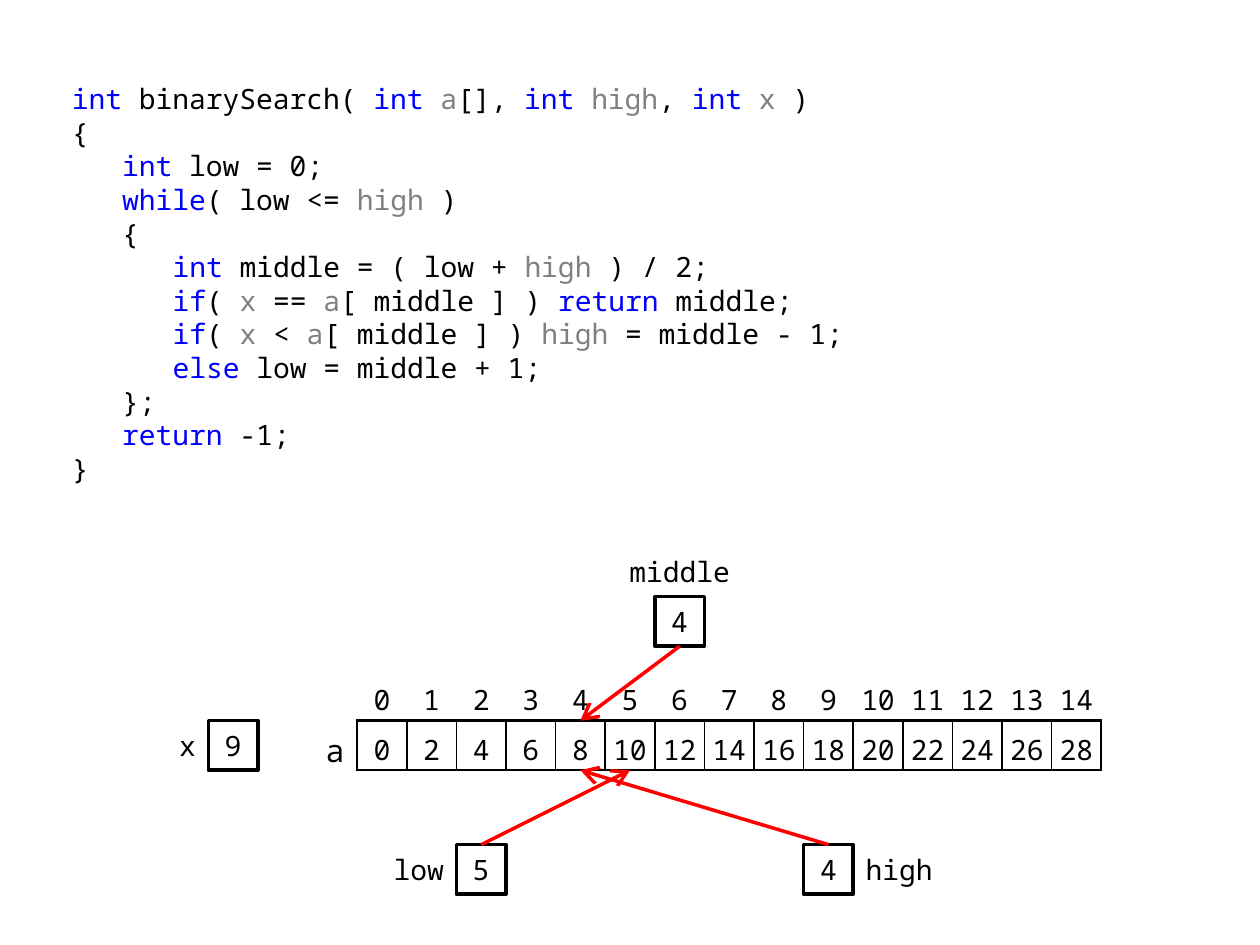
from itertools import groupby

from lxml.etree import SubElement
from pptx import Presentation
from pptx.dml.color import RGBColor
from pptx.enum.shapes import MSO_CONNECTOR, MSO_SHAPE
from pptx.enum.text import MSO_ANCHOR, PP_ALIGN
from pptx.oxml.ns import qn
from pptx.util import Pt

COLORS = {"text": "000000", "keyword": "0000FF", "parameter": "808080",
          "box": "FFFFFF", "arrow": "FF0000"}
FONT = "Noto Sans Mono"
KEYWORDS = {"int", "while", "if", "else", "return"}
PARAMETERS = {"a", "high", "x"}
NO_GRID_STYLE = "{2D5ABB26-0587-4C30-8999-92F81FD0307C}"

# Everything below the code sits on a grid of square cells
CELL = 28.35
ARRAY_LEFT, ARRAY_TOP = 175.75, 411.8
VALUES = range(0, 30, 2)

# Indent level and text of each line
CODE = [
    (0, "int binarySearch( int a[], int high, int x )"),
    (0, "{"),
    (1, "int low = 0;"),
    (1, "while( low <= high )"),
    (1, "{"),
    (2, "int middle = ( low + high ) / 2;"),
    (2, "if( x == a[ middle ] ) return middle;"),
    (2, "if( x < a[ middle ] ) high = middle - 1;"),
    (2, "else low = middle + 1;"),
    (1, "};"),
    (1, "return -1;"),
    (0, "}"),
]

# Text, column, row, width in cells, alignment
LABELS = [
    ("x", -3, 0, 1, PP_ALIGN.RIGHT),
    ("middle", 6, -3.5, 3, PP_ALIGN.CENTER),
    ("low", 1, 2.5, 2, PP_ALIGN.RIGHT),
    ("high", 11, 2.5, 2, PP_ALIGN.LEFT),
]


def rgb(name):
    return RGBColor.from_string(COLORS[name])


def grid(column, row):
    """Position of a grid point, counted from the corner of the array label."""
    return Pt(ARRAY_LEFT + column * CELL), Pt(ARRAY_TOP + row * CELL)


def style_font(font, size=16, color="text"):
    font.name, font.size = FONT, Pt(size)
    font.color.rgb = rgb(color)


def write(frame, text, align, size=16):
    para = frame.paragraphs[0]
    para.text, para.alignment = text, align
    style_font(para.font, size)
    return para


def word_color(word):
    if word in KEYWORDS:
        return "keyword"
    return "parameter" if word in PARAMETERS else "text"


def add_code(page):
    frame = page.shapes.add_textbox(Pt(34), Pt(43.2), Pt(468), Pt(241.2)).text_frame
    frame.word_wrap = True
    for index, (level, line) in enumerate(CODE):
        para = frame.add_paragraph() if index else frame.paragraphs[0]
        para.line_spacing = Pt(19.2)
        para.font.name, para.font.size = FONT, Pt(16)
        # One level is three characters wide
        para._p.get_or_add_pPr().set("marL", str(Pt(28.8 * level)))
        words = ["".join(part) for _, part in groupby(line, str.isalnum)]
        for color, part in groupby(words, word_color):
            span = para.add_run()
            span.text = "".join(part)
            span.font.color.rgb = rgb(color)


def add_border(cell, side, width):
    line = SubElement(cell._tc.get_or_add_tcPr(), qn(f"a:ln{side}"), w=str(Pt(width)))
    fill = SubElement(line, qn("a:solidFill"))
    SubElement(fill, qn("a:srgbClr"), val=COLORS["text"])


def fill_cell(cell, text, borders, align=PP_ALIGN.CENTER, size=16, side_margin=0):
    for side, width in borders.items():
        add_border(cell, side, width)
    cell.fill.background()
    cell.margin_left = cell.margin_right = Pt(side_margin)
    cell.margin_top = cell.margin_bottom = 0
    write(cell.text_frame, text, align, size).line_spacing = 1.2


def add_array(page):
    count = len(VALUES)
    table = page.shapes.add_table(2, count + 1, *grid(0, -1),
                                  Pt(CELL * (count + 1)), Pt(CELL * 2)).table
    table.first_row = table.horz_banding = False
    table._tbl.tblPr.find(qn("a:tableStyleId")).text = NO_GRID_STYLE
    for strip in table.columns:
        strip.width = Pt(CELL)
    fill_cell(table.cell(0, 0), "", {})
    fill_cell(table.cell(1, 0), "a", {"R": 1.5}, PP_ALIGN.RIGHT, 18, 7.2)
    for index, value in enumerate(VALUES):
        borders = {"L": 1 if index else 1.5, "R": 1 if index < count - 1 else 1.5,
                   "T": 1.5, "B": 1.5}
        header, body = table.cell(0, index + 1), table.cell(1, index + 1)
        fill_cell(header, str(index), {"B": 1.5})
        fill_cell(body, str(value), borders)
        header.vertical_anchor = body.vertical_anchor = MSO_ANCHOR.MIDDLE


def add_box(page, text, column, row):
    box = page.shapes.add_shape(MSO_SHAPE.RECTANGLE, *grid(column, row), Pt(CELL), Pt(CELL))
    box.shadow.inherit = False
    box.fill.solid()
    box.fill.fore_color.rgb = rgb("box")
    box.line.color.rgb, box.line.width = rgb("text"), Pt(2)
    frame = box.text_frame
    frame.margin_left = frame.margin_right = frame.margin_top = frame.margin_bottom = 0
    frame.vertical_anchor = MSO_ANCHOR.MIDDLE
    write(frame, text, PP_ALIGN.CENTER)
    return box


def add_label(page, text, column, row, width, align):
    frame = page.shapes.add_textbox(*grid(column, row), Pt(width * CELL), Pt(CELL)).text_frame
    frame.word_wrap = False
    frame.vertical_anchor = MSO_ANCHOR.MIDDLE
    write(frame, text, align)


def add_arrow(page, box, side, index, row):
    """Point from the middle of a box side to an array element."""
    # The label column comes before element 0
    end = grid(index + 1.5, row)
    arrow = page.shapes.add_connector(MSO_CONNECTOR.STRAIGHT, *end, *end)
    arrow.begin_connect(box, side)
    arrow.line.color.rgb, arrow.line.width = rgb("arrow"), Pt(2)
    SubElement(arrow.line._get_or_add_ln(), qn("a:tailEnd"), type="arrow", w="lg", len="lg")
    SubElement(arrow._element.spPr, qn("a:effectLst"))


def main():
    deck = Presentation()
    deck.slide_width, deck.slide_height = Pt(720), Pt(540)
    page = deck.slides.add_slide(deck.slide_layouts[6])

    # Source code and array
    add_code(page)
    add_array(page)

    # Variables
    for label in LABELS:
        add_label(page, *label)
    add_box(page, "9", -2, 0)
    middle = add_box(page, "4", 7, -2.5)
    low = add_box(page, "5", 3, 2.5)
    high = add_box(page, "4", 10, 2.5)

    # Index arrows
    add_arrow(page, low, 0, 5, 1)
    add_arrow(page, high, 0, 4, 1)
    add_arrow(page, middle, 2, 4, 0)

    deck.save("out.pptx")


if __name__ == "__main__":
    main()
